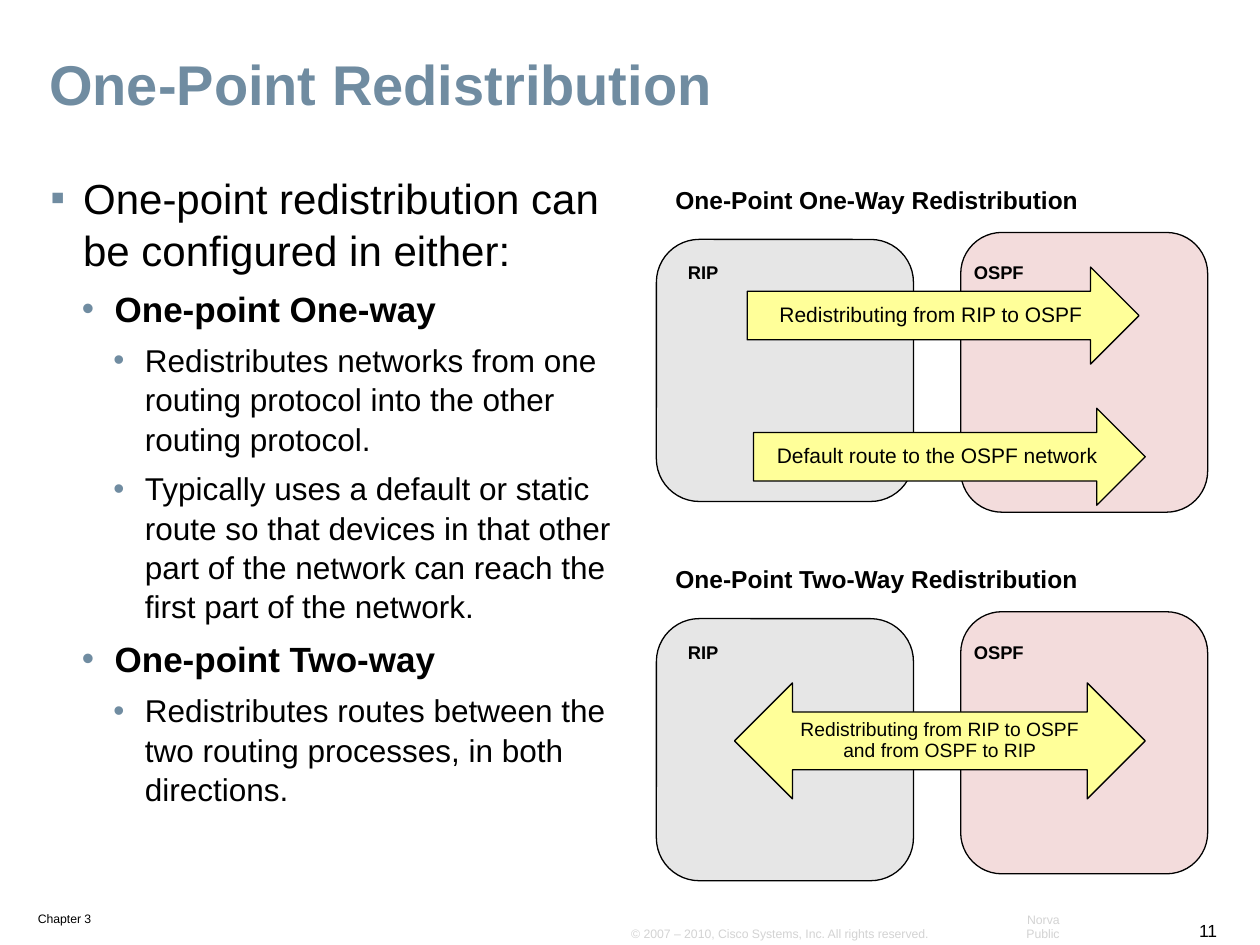
from dataclasses import dataclass

from lxml.etree import SubElement
from pptx import Presentation
from pptx.dml.color import RGBColor
from pptx.enum.shapes import MSO_SHAPE as Preset
from pptx.enum.text import MSO_ANCHOR as Anchor, MSO_AUTO_SIZE as AutoSize, PP_ALIGN as Align
from pptx.oxml.ns import qn
from pptx.util import Inches, Pt

FONT = "Arial"
BLACK, SLATE, SILVER, YELLOW = "000000", "708CA1", "D3D3D3", "FFFF99"
GRAY, RED = "595959", "B21A1A"

deck = Presentation()
deck.slide_width, deck.slide_height = Inches(10), Inches(7.5)
# The grid has 100 columns and 75 rows
COLUMN, ROW = deck.slide_width / 100, deck.slide_height / 75
page = deck.slides.add_slide(deck.slide_layouts[1])


@dataclass
class Cell:
    column: float
    row: float
    columns: float
    rows: float

    def lengths(self) -> tuple:
        return (round(self.column * COLUMN), round(self.row * ROW),
                round(self.columns * COLUMN), round(self.rows * ROW))


@dataclass
class Style:
    size: float
    color: str = BLACK
    bold: bool = False
    align: Align = Align.LEFT
    spacing: float = 0.9


@dataclass
class Level:
    size: float
    bold: bool
    indent: float
    hanging: float
    bullet: str


@dataclass
class Panel:
    title: str
    row: float
    ospf_rows: float


@dataclass
class Arrow:
    preset: Preset
    cell: Cell
    text: str
    size: float


@dataclass
class Footer:
    text: str
    cell: Cell
    style: Style
    wrap: bool = False


def color(value: str) -> RGBColor:
    return RGBColor.from_string(value)


def format_paragraph(para, style: Style) -> None:
    para.alignment, para.line_spacing = style.align, style.spacing
    font = para.font
    font.name, font.size, font.bold = FONT, Pt(style.size), style.bold
    font.color.rgb = color(style.color)


def write(frame, text: str, style: Style) -> None:
    for index, line in enumerate(text.split("\n")):
        para = frame.add_paragraph() if index else frame.paragraphs[0]
        para.add_run().text = line
        format_paragraph(para, style)


def set_margins(frame, across: float, down: float) -> None:
    frame.margin_left = frame.margin_right = Inches(across)
    frame.margin_top = frame.margin_bottom = Inches(down)


def move(box, cell: Cell) -> None:
    box.left, box.top, box.width, box.height = cell.lengths()


def add_label(text: str, cell: Cell, style: Style):
    frame = page.shapes.add_textbox(*cell.lengths()).text_frame
    frame.word_wrap, frame.vertical_anchor = True, Anchor.MIDDLE
    set_margins(frame, 0, 0)
    write(frame, text, style)
    return frame


def add_outlined(preset: Preset, cell: Cell, fill: str, percent: int = 100):
    shape = page.shapes.add_shape(preset, *cell.lengths())
    shape.shadow.inherit = False
    shape.fill.solid()
    shape.fill.fore_color.rgb = color(fill)
    if percent < 100:
        tint = shape._element.spPr.find(f"{qn('a:solidFill')}/{qn('a:srgbClr')}")
        SubElement(tint, qn("a:alpha"), val=str(percent * 1000))
    shape.line.color.rgb, shape.line.width = color(BLACK), Pt(0.75)
    return shape


def add_bullet(para, level: Level) -> None:
    props = para._p.get_or_add_pPr()
    props.set("marL", str(Inches(level.indent)))
    props.set("indent", str(-Inches(level.hanging)))
    tint = SubElement(props, qn("a:buClr"))
    SubElement(tint, qn("a:srgbClr"), val=SLATE)
    SubElement(props, qn("a:buFont"), typeface=FONT)
    SubElement(props, qn("a:buChar"), char=level.bullet)


def add_panel(panel: Panel) -> None:
    add_outlined(Preset.ROUNDED_RECTANGLE, Cell(52.1, panel.row + 5, 20.4, 20.8), GRAY, 15)
    add_outlined(Preset.ROUNDED_RECTANGLE,
                 Cell(76.25, panel.row + 4.45, 19.6, panel.ospf_rows), RED, 15)
    for name, column in (("RIP", 54.6), ("OSPF", 77.3)):
        add_label(name, Cell(column, panel.row + 6.4, 16.2, 2.7), Style(10.5, bold=True))
    add_label(panel.title, Cell(53.6, panel.row, 37.6, 4), Style(14, bold=True))


def add_arrow(arrow: Arrow) -> None:
    frame = add_outlined(arrow.preset, arrow.cell, YELLOW).text_frame
    frame.word_wrap, frame.vertical_anchor = True, Anchor.MIDDLE
    set_margins(frame, 0.09, 0.04)
    write(frame, arrow.text, Style(arrow.size, align=Align.CENTER))


def add_footer(footer: Footer) -> None:
    frame = add_label(footer.text, footer.cell, footer.style)
    frame.word_wrap, frame.vertical_anchor = footer.wrap, Anchor.BOTTOM
    frame.auto_size = AutoSize.SHAPE_TO_FIT_TEXT
    set_margins(frame, 0.09, 0.04)


# Footer line
small = Style(7, SILVER, spacing=1.0)
for footer in (
    Footer("Chapter 3", Cell(2.1, 71.8, 10.5, 2.1), Style(7, spacing=1.0), wrap=True),
    Footer("11", Cell(94, 72.5, 3.5, 2.6), Style(10, align=Align.RIGHT, spacing=1.0)),
    Footer("© 2007 – 2010, Cisco Systems, Inc. All rights reserved.",
           Cell(49.2, 73, 25.7, 2.1), small),
    Footer("Norva Public", Cell(77.9, 73, 7.1, 2.1),
           Style(7, SILVER, align=Align.RIGHT, spacing=1.0)),
):
    add_footer(footer)

# Title
title = page.shapes.title
move(title, Cell(2.9, 4, 93.2, 8.1))
title.text_frame.vertical_anchor = Anchor.TOP
title.text_frame.auto_size = AutoSize.NONE
write(title.text_frame, "One-Point Redistribution", Style(32, SLATE, bold=True))

# Bulleted list
LEVELS = (Level(24, False, 0.26, 0.26, "▪"), Level(20, True, 0.51, 0.26, "•"),
          Level(18, False, 0.75, 0.25, "•"))
ITEMS = (
    (0, "One-point redistribution can be configured in either:"),
    (1, "One-point One-way"),
    (2, "Redistributes networks from one routing protocol into the other routing protocol."),
    (2, "Typically uses a default or static route so that devices in that other part "
        "of the network can reach the first part of the network."),
    (1, "One-point Two-way"),
    (2, "Redistributes routes between the two routing processes, in both directions."),
)
body = page.placeholders[1]
move(body, Cell(3.1, 13.1, 47.8, 56.8))
body.text_frame.auto_size = AutoSize.NONE
set_margins(body.text_frame, 0.09, 0.04)
for index, (depth, text) in enumerate(ITEMS):
    para = body.text_frame.add_paragraph() if index else body.text_frame.paragraphs[0]
    para.add_run().text = text
    para.level, para.space_before, para.space_after = depth, Pt(0), Pt(6)
    para.line_spacing = 1.04
    add_bullet(para, LEVELS[depth])
    format_paragraph(para, Style(LEVELS[depth].size, bold=LEVELS[depth].bold, spacing=1.04))

# Diagrams, then the arrows across them
for panel in (Panel("One-Point One-Way Redistribution", 14, 22.2),
              Panel("One-Point Two-Way Redistribution", 44.1, 20.8)):
    add_panel(panel)
for arrow in (
    Arrow(Preset.RIGHT_ARROW, Cell(59.3, 21.2, 31.1, 7.7), "Redistributing from RIP to OSPF", 12),
    Arrow(Preset.LEFT_RIGHT_ARROW, Cell(58.3, 54.2, 32.6, 9.2),
          "Redistributing from RIP to OSPF\nand from OSPF to RIP", 11),
    Arrow(Preset.RIGHT_ARROW, Cell(59.8, 32.4, 31.1, 7.7), "Default route to the OSPF network", 12),
):
    add_arrow(arrow)

deck.save("out.pptx")
